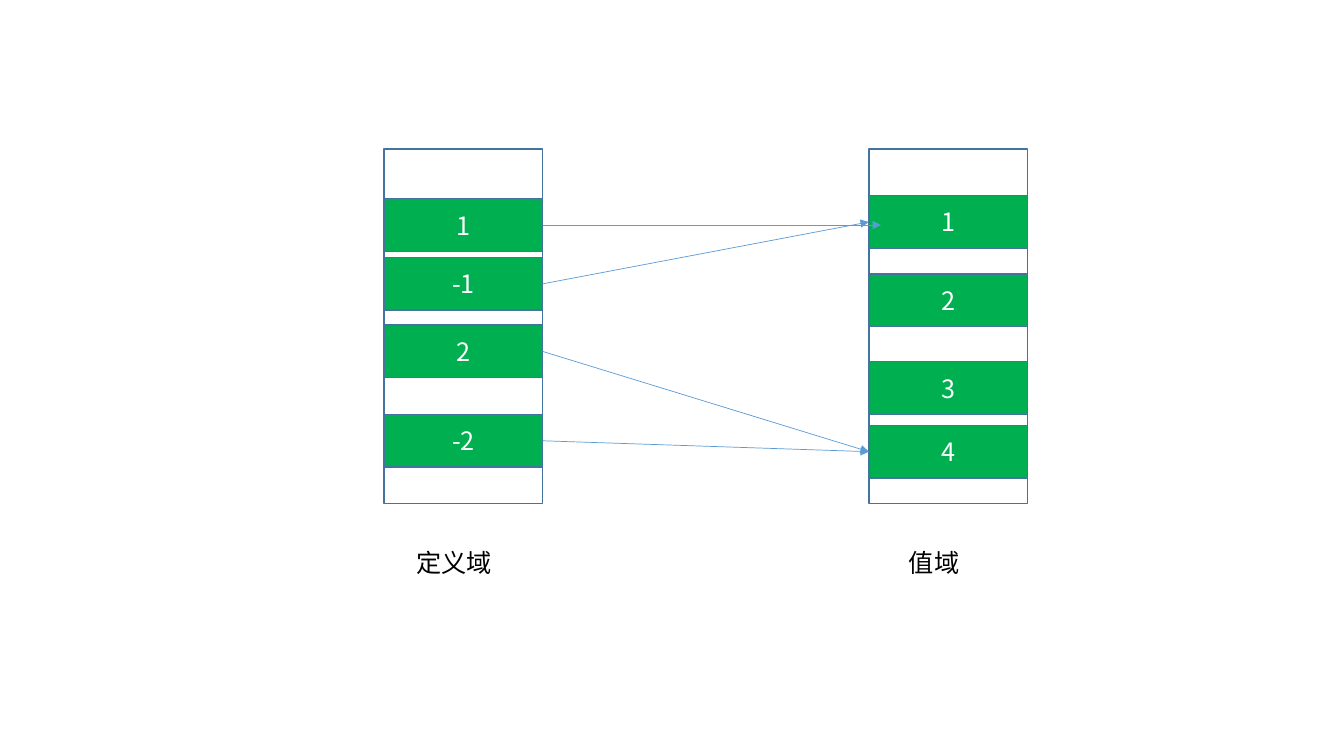
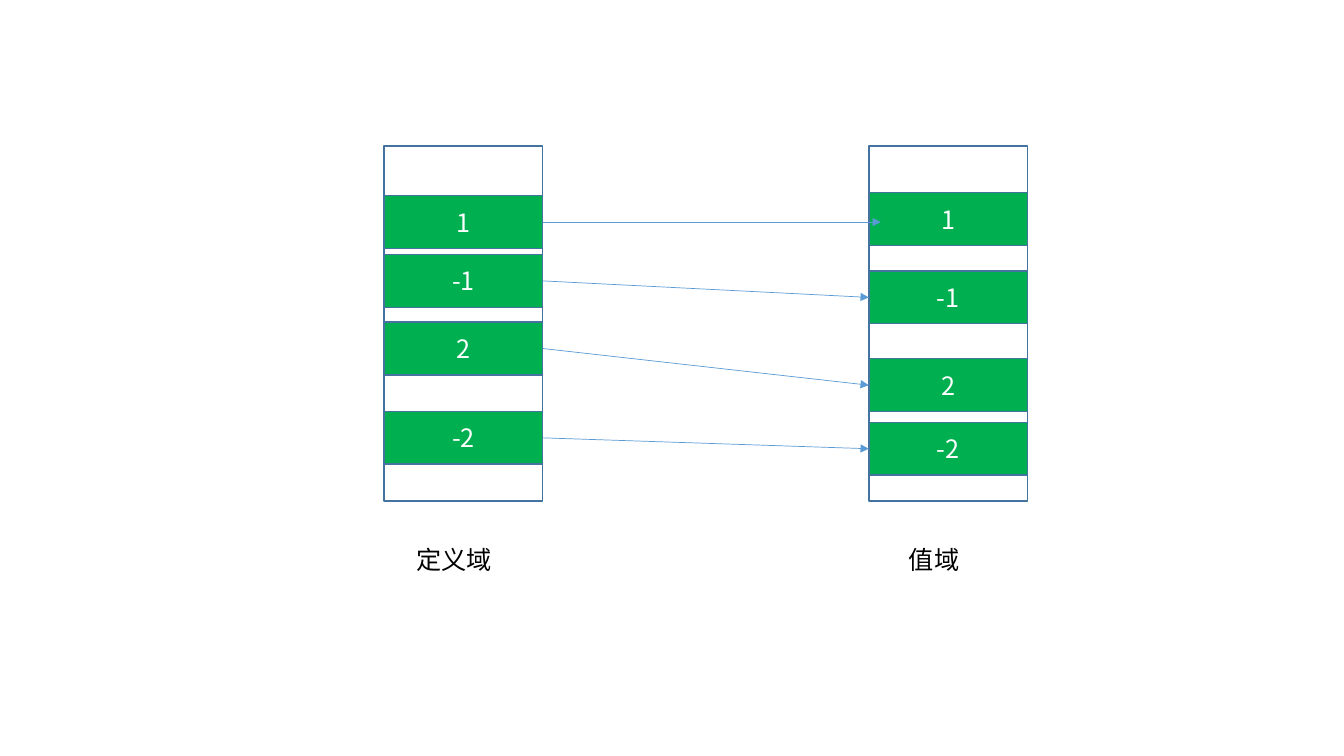
from pptx import Presentation
from pptx.dml.color import RGBColor
from pptx.enum import shapes, text
from pptx.oxml import ns, xmlchemy as xml
from pptx.util import Pt

FONT = "Noto Sans CJK SC"
WHITE, BLACK, GREEN = "FFFFFF", "000000", "00B050"
EDGE, ARROW = "43739E", "5B9BD5"

COL_W, COL_H, CELL_H = 113.3, 253.4, 37.7
LABEL_DY, LABEL_H = 280.8, 28.8
RIGHT_SIDE, LEFT_SIDE = 3, 1  # connection sites of a rectangle
INSET = 8.6  # how far the level arrow reaches into its target

# x, cell offsets below the column top, label, label offset, label width
DOMAIN = (274.4, (35.4, 77.4, 125.7, 189.5), "定义域", 15.8, 69.1)
RANGE = (620.6, (33.2, 89.2, 151.9, 197.3), "值域", 21.6, 51.1)

# column top, domain values, range values, target row of each domain row
MAPS = [
    (106.5, ("1", "-1", "2", "-2"), ("1", "2", "3", "4"), (0, 0, 3, 3)),
    (104.4, ("1", "-1", "2", "-2"), ("1", "-1", "2", "-2"), (0, 1, 2, 3)),
]


def rgb(code):
    return RGBColor.from_string(code)


def add_node(parent, tag, **attrs):
    node = xml.OxmlElement(tag)
    for key, value in attrs.items():
        node.set(key, value)
    parent.append(node)


def write(frame, words, color, **form):
    for key, value in form.items():
        setattr(frame, key, value)
    run = frame.paragraphs[0].add_run()
    run.text = words
    for key, value in {"name": FONT, "size": Pt(18)}.items():
        setattr(run.font, key, value)
    run.font.color.rgb = rgb(color)
    add_node(run.font._element, "a:ea", typeface=FONT)


def add_box(group, x, y, height, fill):
    box = group.shapes.add_shape(
        shapes.MSO_SHAPE.RECTANGLE, Pt(x), Pt(y), Pt(COL_W), Pt(height))
    box.shadow.inherit = False
    box.fill.solid()
    box.fill.fore_color.rgb = rgb(fill)
    box.line.color.rgb = rgb(EDGE)
    box.line.width = Pt(1)
    return box


def add_cell(group, x, y, value):
    cell = add_box(group, x, y, CELL_H, GREEN)
    write(cell.text_frame, value, WHITE,
          vertical_anchor=text.MSO_ANCHOR.MIDDLE)
    cell.text_frame.paragraphs[0].alignment = text.PP_ALIGN.CENTER
    return cell


def add_label(group, x, y, width, words):
    label = group.shapes.add_textbox(Pt(x), Pt(y), Pt(width), Pt(LABEL_H))
    write(label.text_frame, words, BLACK, word_wrap=False,
          auto_size=text.MSO_AUTO_SIZE.SHAPE_TO_FIT_TEXT)


def add_column(group, top, column, values):
    """Draw one framed set with its label and return its cells."""
    x, rows, words, shift, width = column
    add_box(group, x, top, COL_H, WHITE)
    add_label(group, x + shift, top + LABEL_DY, width, words)
    return [add_cell(group, x, top + row, value)
            for row, value in zip(rows, values)]


def add_arrow(group, source, target, level):
    """Join two cells; a level arrow stays flat and ends inside its target."""
    start_y = source.top + source.height // 2
    end_x, end_y = target.left, target.top + target.height // 2
    if level:
        end_x, end_y = end_x + Pt(INSET), start_y
    arrow = group.shapes.add_connector(
        shapes.MSO_CONNECTOR.STRAIGHT,
        source.left + source.width, start_y, end_x, end_y)
    arrow.begin_connect(source, RIGHT_SIDE)
    if not level:
        arrow.end_connect(target, LEFT_SIDE)
    arrow.line.color.rgb = rgb(ARROW)
    arrow.line.width = Pt(0.5)
    props = arrow._element.spPr
    add_node(props.find(ns.qn("a:ln")), "a:tailEnd", type="triangle")
    add_node(props, "a:effectLst")


def add_map(deck, top, inputs, outputs, links):
    slide = deck.slides.add_slide(deck.slide_layouts[6])
    group = slide.shapes.add_group_shape()
    sources = add_column(group, top, DOMAIN, inputs)
    targets = add_column(group, top, RANGE, outputs)
    for row, link in enumerate(links):
        add_arrow(group, sources[row], targets[link], level=row == 0)


def main():
    deck = Presentation()
    deck.slide_width, deck.slide_height = Pt(960), Pt(540)
    for item in MAPS:
        add_map(deck, *item)
    deck.save("out.pptx")


if __name__ == "__main__":
    main()
